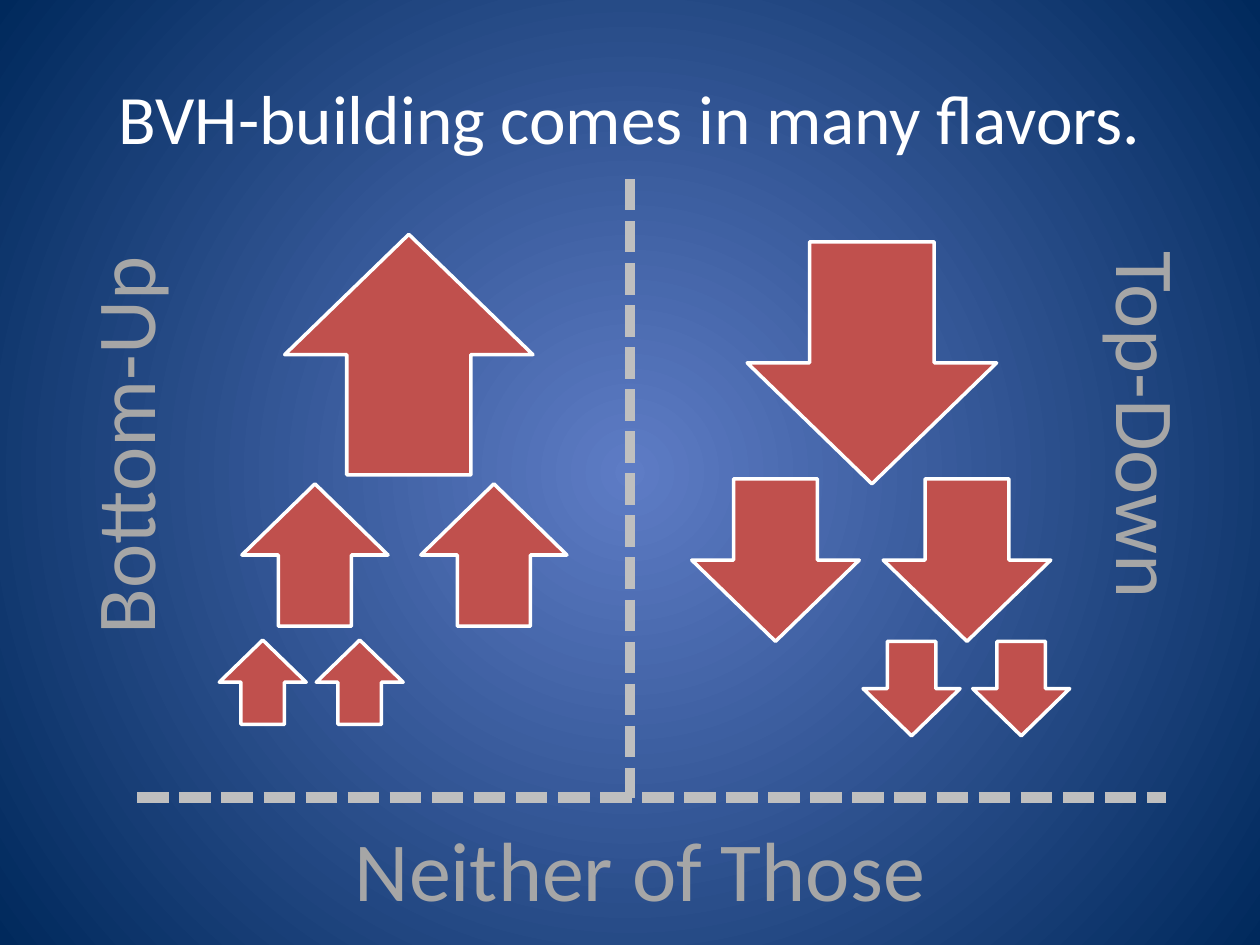
from lxml import etree
from pptx import Presentation
from pptx.dml.color import RGBColor
from pptx.enum import dml, shapes, text
from pptx.oxml.ns import qn
from pptx.util import Inches, Pt

GLOW, NAVY = "5E7CC5", "00295C"
RED, WHITE, SILVER, GRAY = "C0504D", "FFFFFF", "BFBFBF", "A6A6A6"

# text, left, top, width, rotation, size, colour
LABELS = [
    ("BVH-building comes in many flavors.", 0.5, 0.3, 9, 0, 39.6, WHITE),
    ("Bottom-Up", -0.91, 2.91, 3.75, 270, 48, GRAY),
    ("Top-Down", 7.25, 2.75, 3.75, 90, 48, GRAY),
    ("Neither of Those", 2.24, 6.26, 5.68, 0, 48, GRAY),
]
LABEL_HEIGHT = 1.25

# Each tree is a list of levels: top, width, height, lefts of its arrows
TREES = [
    (shapes.MSO_SHAPE.DOWN_ARROW, [
        (1.92, 1.98, 1.92, [5.93]),
        (3.8, 1.33, 1.29, [5.49, 7.01]),
        (5.09, 0.77, 0.75, [6.85, 7.72]),
    ]),
    (shapes.MSO_SHAPE.UP_ARROW, [
        (1.86, 1.97, 1.91, [2.26]),
        (3.84, 1.16, 1.13, [1.92, 3.34]),
        (5.08, 0.69, 0.67, [1.74, 2.51]),
    ]),
]

DIVIDERS = [(5, 1.42, 5, 6.33), (1.09, 6.33, 9.25, 6.33)]


def rgb(code):
    return RGBColor.from_string(code)


def paint(slide):
    """Fill the background with a round glow from the centre."""
    fill = slide.background.fill
    fill.gradient()
    for stop, code, place in zip(fill.gradient_stops, (GLOW, NAVY), (0, 1)):
        stop.color.rgb = rgb(code)
        stop.position = place
    line = next(slide.element.iter(qn("a:lin")))
    grad = line.getparent()
    glow = etree.Element(qn("a:path"), path="circle")
    etree.SubElement(glow, qn("a:fillToRect"),
                     l="50000", t="50000", r="50000", b="50000")
    grad.replace(line, glow)


def add_label(slide, words, left, top, width, turn, size, code):
    box = slide.shapes.add_textbox(
        *map(Inches, (left, top, width, LABEL_HEIGHT)))
    box.rotation = turn
    frame = box.text_frame
    frame.word_wrap = True
    frame.vertical_anchor = text.MSO_ANCHOR.MIDDLE
    frame.text = words
    para = frame.paragraphs[0]
    para.alignment = text.PP_ALIGN.CENTER
    font = para.runs[0].font
    font.name, font.size = "Calibri", Pt(size)
    font.color.rgb = rgb(code)


def add_tree(slide, kind, levels):
    group = slide.shapes.add_group_shape()
    for top, width, height, lefts in levels:
        for left in lefts:
            arrow = group.shapes.add_shape(
                kind, *map(Inches, (left, top, width, height)))
            arrow.shadow.inherit = False
            arrow.fill.solid()
            arrow.fill.fore_color.rgb = rgb(RED)
            arrow.line.color.rgb = rgb(WHITE)
            arrow.line.width = Pt(2)


def add_divider(slide, ends):
    rule = slide.shapes.add_connector(
        shapes.MSO_CONNECTOR.STRAIGHT, *map(Inches, ends))
    rule.line.color.rgb = rgb(SILVER)
    rule.line.width = Pt(6)
    rule.line.dash_style = dml.MSO_LINE.SQUARE_DOT
    etree.SubElement(rule.element.spPr, qn("a:effectLst"))


def main():
    deck = Presentation()
    deck.slide_width, deck.slide_height = Inches(10), Inches(7.5)
    slide = deck.slides.add_slide(deck.slide_layouts[6])
    paint(slide)
    for kind, levels in TREES:
        add_tree(slide, kind, levels)
    for ends in DIVIDERS:
        add_divider(slide, ends)
    for label in LABELS:
        add_label(slide, *label)
    deck.save("out.pptx")


if __name__ == "__main__":
    main()
